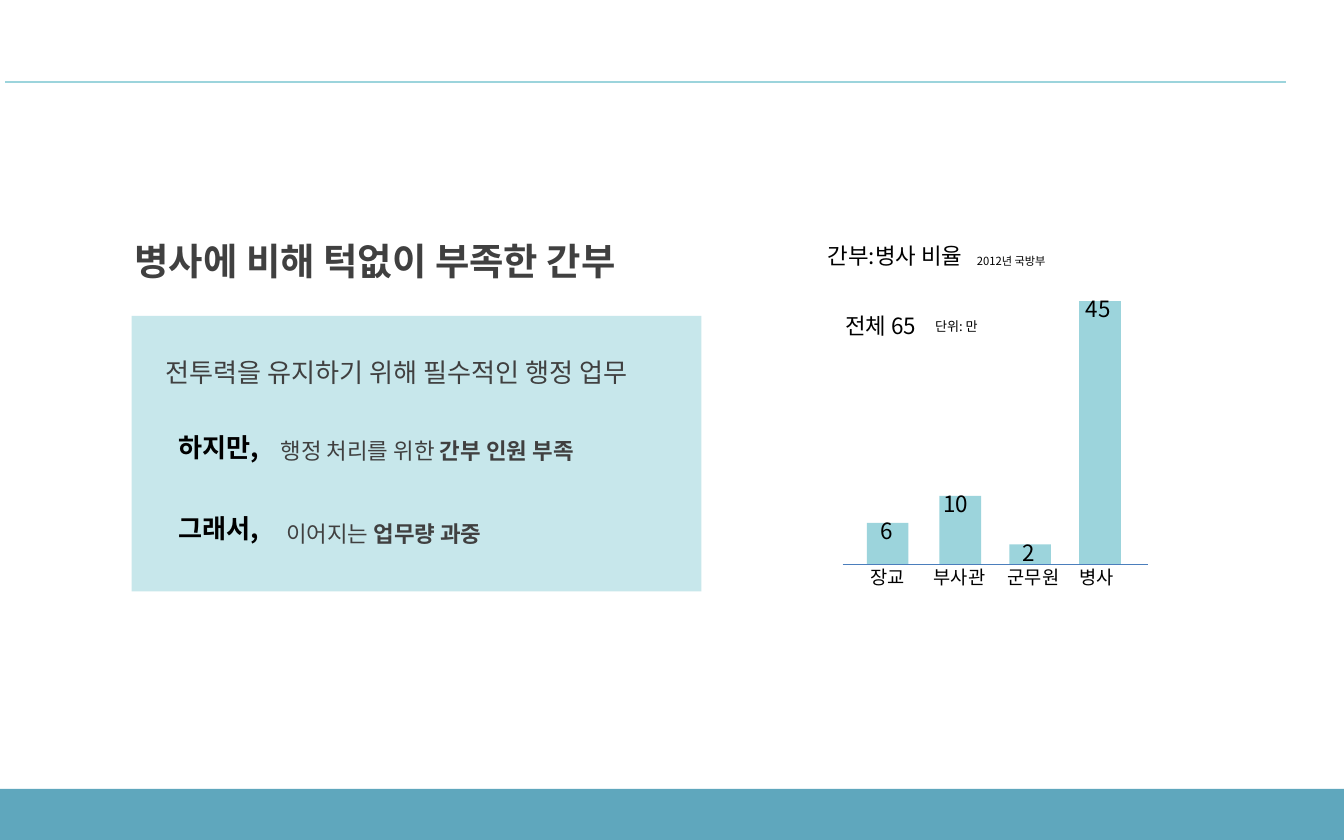
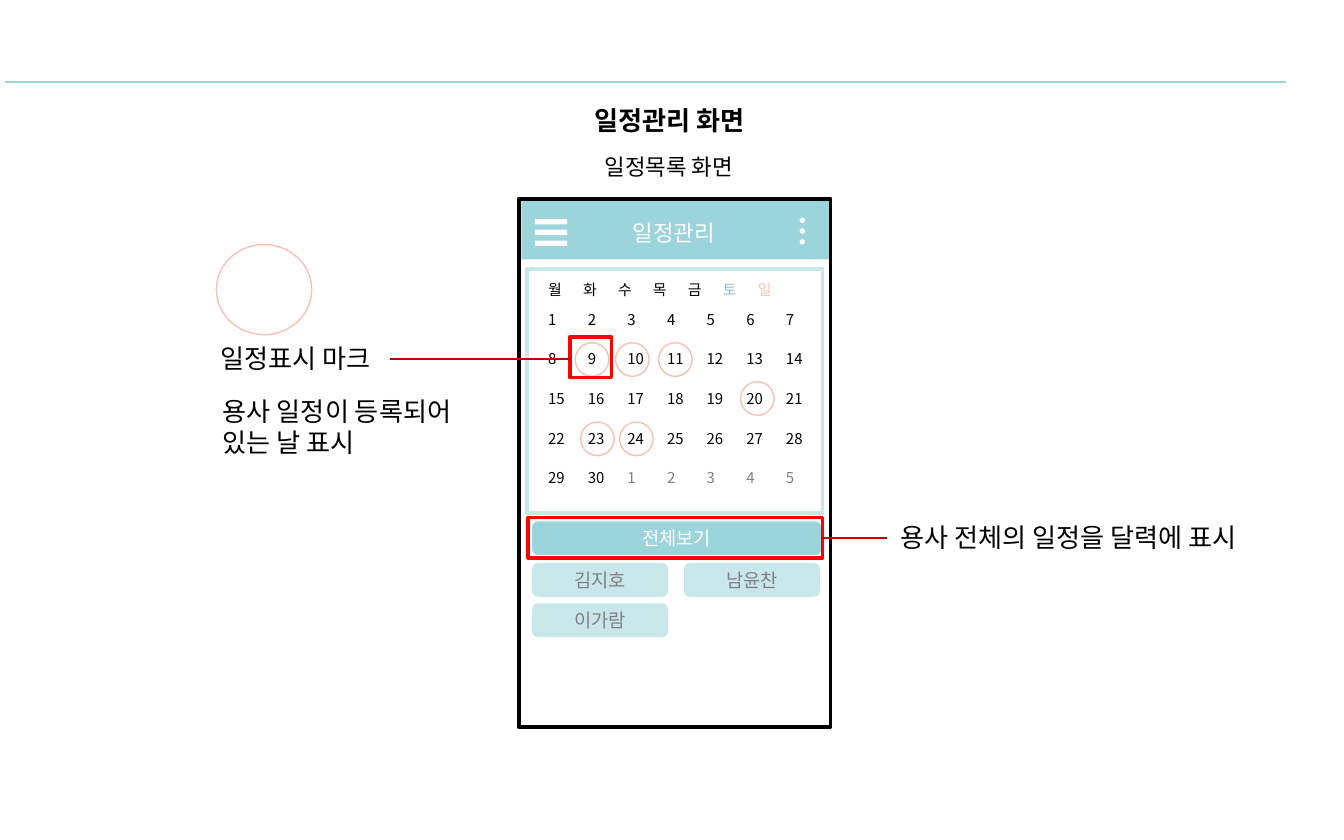
from dataclasses import dataclass
from typing import NamedTuple, Optional

from lxml.etree import SubElement
from pptx import Presentation
from pptx.dml.color import RGBColor
from pptx.enum.shapes import MSO_CONNECTOR, MSO_SHAPE
from pptx.enum.text import MSO_ANCHOR, MSO_AUTO_SIZE, PP_ALIGN
from pptx.oxml.ns import qn
from pptx.util import Inches, Pt

FONT = "Noto Sans CJK KR"
COLORS = {
    "aqua": "9CD4DC", "pale": "C7E7EB", "footer": "5FA7BD", "axis": "4B7EBC",
    "black": "000000", "dark": "404040", "gray": "808080", "white": "FFFFFF",
    "saturday": "8BBFCF", "mark": "FAC0B0", "red": "FF0000", "callout": "C00000",
}
TEXT_FORMAT = {"auto_size": MSO_AUTO_SIZE.SHAPE_TO_FIT_TEXT,
               "vertical_anchor": MSO_ANCHOR.TOP}
BUTTON_FORMAT = {"word_wrap": True, "vertical_anchor": MSO_ANCHOR.MIDDLE}


class Box(NamedTuple):
    x: float
    y: float
    w: float
    h: float


class Run(NamedTuple):
    text: str
    color: str = "black"
    bold: bool = False


@dataclass
class Label:
    box: Box
    size: int
    lines: list[list[Run]]
    wrap: bool = False
    fill: Optional[str] = None


@dataclass
class Shape:
    box: Box
    kind: MSO_SHAPE = MSO_SHAPE.RECTANGLE
    fill: Optional[str] = None
    line: Optional[str] = None
    width: float = 0.75


class Bar(NamedTuple):
    name: str
    value: int
    x: float
    top: float
    value_x: float
    name_x: float
    name_w: float


class Button(NamedTuple):
    text: str
    box: Box
    fill: str = "pale"
    color: str = "gray"


def rgb(name: str) -> RGBColor:
    return RGBColor.from_string(COLORS[name])


def apply(obj, values: dict) -> None:
    for key, value in values.items():
        setattr(obj, key, value)


def place(sp, box: Box) -> None:
    apply(sp, dict(zip(("left", "top", "width", "height"), map(Inches, box))))


def add_run(p, run: Run, size: int) -> None:
    r = p.add_run()
    r.text = run.text
    apply(r.font, {"name": FONT, "size": Pt(size), "bold": run.bold})
    r.font.color.rgb = rgb(run.color)
    ea = SubElement(r.font._element, qn("a:ea"))
    ea.set("typeface", FONT)


def write(sp, label: Label) -> None:
    tf = sp.text_frame
    apply(tf, {**TEXT_FORMAT, "word_wrap": label.wrap})
    for i, runs in enumerate(label.lines):
        p = tf.paragraphs[0] if i == 0 else tf.add_paragraph()
        p.alignment = PP_ALIGN.LEFT
        for run in runs:
            add_run(p, run, label.size)


def add_label(s, label: Label):
    sp = s.shapes.add_textbox(*map(Inches, label.box))
    if label.fill:
        sp.fill.solid()
        sp.fill.fore_color.rgb = rgb(label.fill)
    write(sp, label)
    return sp


def add_shape(s, shape: Shape):
    sp = s.shapes.add_shape(shape.kind, *map(Inches, shape.box))
    sp.shadow.inherit = False
    if shape.fill:
        sp.fill.solid()
        sp.fill.fore_color.rgb = rgb(shape.fill)
    else:
        sp.fill.background()
    if shape.line:
        sp.line.color.rgb = rgb(shape.line)
        sp.line.width = Pt(shape.width)
    else:
        sp.line.fill.background()
    return sp


def add_line(s, x1: float, x2: float, y: float, color: str, width: float = 0.75) -> None:
    line = s.shapes.add_connector(MSO_CONNECTOR.STRAIGHT, *map(Inches, (x1, y, x2, y)))
    line.line.color.rgb = rgb(color)
    line.line.width = Pt(width)
    SubElement(line._element.spPr, qn("a:effectLst"))


def add_button(s, button: Button) -> None:
    sp = add_shape(s, Shape(button.box, MSO_SHAPE.ROUNDED_RECTANGLE, button.fill))
    apply(sp.text_frame, BUTTON_FORMAT)
    p = sp.text_frame.paragraphs[0]
    p.alignment = PP_ALIGN.CENTER
    add_run(p, Run(button.text, button.color), 10)


def new_slide(prs, title: Label):
    s = prs.slides.add_slide(prs.slide_layouts[5])
    place(s.shapes.title, title.box)
    write(s.shapes.title, title)
    add_line(s, 0.04, 9.57, 0.61, "aqua")
    return s


def add_staff_bars(s) -> None:
    base = 4.2
    bars = [
        Bar("장교", 6, 6.45, 3.89, 6.45, 6.38, 0.61),
        Bar("부사관", 10, 6.99, 3.69, 6.92, 6.85, 0.78),
        Bar("군무원", 2, 7.51, 4.05, 7.51, 7.4, 0.78),
        Bar("병사", 45, 8.03, 2.24, 7.98, 7.93, 0.61),
    ]
    for b in bars:
        add_shape(s, Shape(Box(b.x, b.top, 0.31, base - b.top), fill="aqua"))
    add_line(s, 6.27, 8.54, base, "axis")
    for b in bars:
        value_w = 0.4 if b.value < 10 else 0.53
        add_label(s, Label(Box(b.value_x, b.top - 0.09, value_w, 0.4), 12, [[Run(str(b.value))]]))
        add_label(s, Label(Box(b.name_x, 4.16, b.name_w, 0.35), 10, [[Run(b.name)]]))
    for label in (
        Label(Box(7.17, 1.84, 1.05, 0.27), 6, [[Run("2012년 국방부")]], wrap=True),
        Label(Box(6.06, 1.75, 1.64, 0.4), 12, [[Run("간부:병사 비율")]]),
        Label(Box(6.19, 2.27, 1.01, 0.4), 12, [[Run("전체 65")]]),
        Label(Box(6.86, 2.32, 0.73, 0.29), 7, [[Run("단위: 만")]], wrap=True),
    ):
        add_label(s, label)


def build_shortage(prs) -> None:
    s = new_slide(prs, Label(Box(0.9, 1.72, 3.9, 0.44), 20,
                             [[Run("병사에 비해 턱없이 부족한 간부", "dark", True)]], wrap=True))
    add_staff_bars(s)
    add_shape(s, Shape(Box(0.98, 2.35, 4.24, 2.05), fill="pale"))
    for label in (
        Label(Box(1.99, 3.2, 2.54, 0.38), 12,
              [[Run("행정 처리를 위한 ", "dark"), Run("간부 인원 부족", "dark", True)]], fill="pale"),
        Label(Box(2.03, 3.82, 1.71, 0.38), 12,
              [[Run("이어지는 ", "dark"), Run("업무량 과중", "dark", True)]], fill="pale"),
        Label(Box(1.13, 2.6, 3.9, 0.43), 14,
              [[Run("전투력을 유지하기 위해 필수적인 행정 업무", "dark")]], wrap=True, fill="pale"),
        Label(Box(1.23, 3.16, 0.8, 0.43), 14, [[Run("하지만,", bold=True)]], fill="pale"),
        Label(Box(1.23, 3.76, 0.8, 0.43), 14, [[Run("그래서,", bold=True)]], fill="pale"),
    ):
        add_label(s, label)
    add_shape(s, Shape(Box(0, 5.87, 10, 0.38), fill="footer"))


def add_app_bar(s) -> None:
    add_shape(s, Shape(Box(3.88, 1.49, 2.3, 0.44), fill="aqua"))
    for i in range(3):
        add_shape(s, Shape(Box(3.98, 1.63 + 0.08 * i, 0.24, 0.04),
                           MSO_SHAPE.ROUNDED_RECTANGLE, "white"))
        add_shape(s, Shape(Box(5.95, 1.62 + 0.08 * i, 0.04, 0.04), MSO_SHAPE.OVAL, "white"))
    add_label(s, Label(Box(4.61, 1.58, 0.83, 0.3), 12, [[Run("일정관리", "white")]]))


def add_weekdays(s) -> None:
    sp = add_label(s, Label(Box(3.98, 2.04, 1.95, 0.24), 8, [[
        Run("월\t화\t수\t목\t금\t"), Run("토\t", "saturday"), Run("일", "mark")]], wrap=True))
    tabs = SubElement(sp.text_frame.paragraphs[0]._p.get_or_add_pPr(), qn("a:tabLst"))
    for i in range(1, 7):
        tab = SubElement(tabs, qn("a:tab"))
        tab.set("pos", str(Inches(0.26 * i)))
        tab.set("algn", "l")


def add_calendar(s) -> None:
    add_shape(s, Shape(Box(3.92, 2, 2.2, 1.82), line="pale", width=2))
    add_weekdays(s)
    for i in range(35):
        row, col = divmod(i, 7)
        day = i % 30 + 1
        box = Box(3.98 + 1.77 * col / 6, 2.26 + 1.18 * row / 4, 0.27 if day < 10 else 0.34, 0.24)
        add_label(s, Label(box, 8, [[Run(str(day), "black" if i < 30 else "gray")]]))
    for x, y in ((4.28, 2.55), (4.58, 2.55), (4.9, 2.55), (4.32, 3.14), (4.61, 3.14), (5.51, 2.84)):
        add_shape(s, Shape(Box(x, y, 0.25, 0.25), MSO_SHAPE.OVAL, line="mark"))


def build_schedule(prs) -> None:
    s = new_slide(prs, Label(Box(4.32, 0.73, 1.35, 0.34), 14,
                             [[Run("일정관리 화면", bold=True)]], wrap=True))
    add_label(s, Label(Box(4.4, 1.09, 1.2, 0.3), 12, [[Run("일정목록 화면")]]))
    add_app_bar(s)
    add_calendar(s)
    add_shape(s, Shape(Box(3.86, 1.48, 2.32, 3.93), line="black", width=2))
    for button in (
        Button("전체보기", Box(3.96, 3.88, 2.15, 0.25), "aqua", "white"),
        Button("김지호", Box(3.96, 4.19, 1.01, 0.25)),
        Button("남윤찬", Box(5.09, 4.19, 1.01, 0.25)),
        Button("이가람", Box(3.96, 4.49, 1.01, 0.25)),
    ):
        add_button(s, button)
    for box in (Box(4.24, 2.51, 0.31, 0.3), Box(3.93, 3.85, 2.19, 0.3)):
        add_shape(s, Shape(box, line="red", width=2))
    add_shape(s, Shape(Box(1.61, 1.82, 0.71, 0.67), MSO_SHAPE.OVAL, line="mark"))
    add_line(s, 2.9, 4.25, 2.67, "callout", 1)
    add_line(s, 6.12, 6.6, 4, "callout", 1)
    for label in (
        Label(Box(1.54, 2.5, 1.36, 0.34), 14, [[Run("일정표시 마크")]]),
        Label(Box(1.56, 2.89, 2.02, 0.57), 14,
              [[Run("용사 일정이 등록되어")], [Run("있는 날 표시")]]),
        Label(Box(6.6, 3.83, 2.81, 0.34), 14, [[Run("용사 전체의 일정을 달력에 표시")]]),
    ):
        add_label(s, label)


def main() -> None:
    prs = Presentation()
    apply(prs, {"slide_width": Inches(10), "slide_height": Inches(6.25)})
    build_shortage(prs)
    build_schedule(prs)
    prs.save("out.pptx")


if __name__ == "__main__":
    main()
